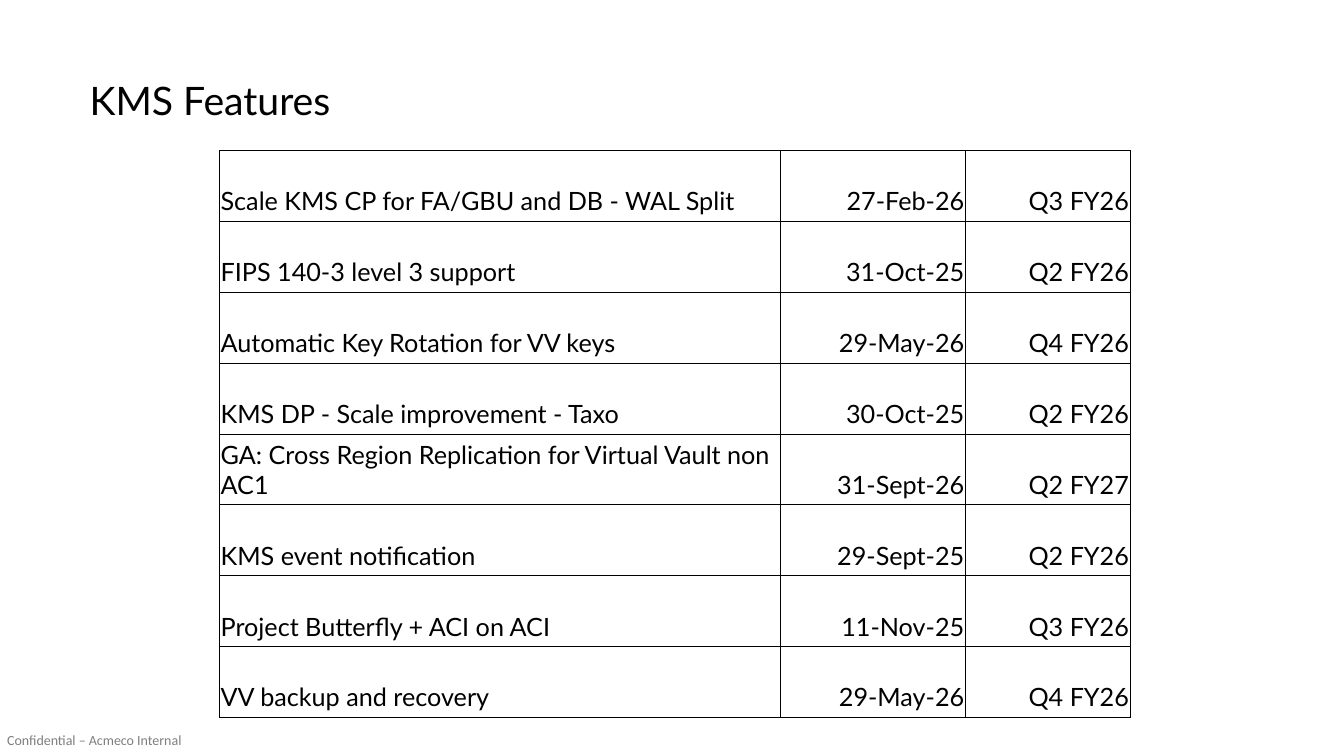
from lxml import etree
from pptx import Presentation
from pptx.dml.color import RGBColor
from pptx.enum import text
from pptx.oxml import ns
from pptx.util import Cm, Pt

# Content
TITLE = "KMS Features"
FOOTER = "Confidential – Acmeco Internal"
FEATURES = [
    ("Scale KMS CP for FA/GBU and DB - WAL Split", "27-Feb-26", "Q3 FY26"),
    ("FIPS 140-3 level 3 support", "31-Oct-25", "Q2 FY26"),
    ("Automatic Key Rotation for VV keys", "29-May-26", "Q4 FY26"),
    ("KMS DP - Scale improvement - Taxo", "30-Oct-25", "Q2 FY26"),
    ("GA: Cross Region Replication for Virtual Vault non AC1", "31-Sept-26", "Q2 FY27"),
    ("KMS event notification", "29-Sept-25", "Q2 FY26"),
    ("Project Butterfly + ACI on ACI", "11-Nov-25", "Q3 FY26"),
    ("VV backup and recovery", "29-May-26", "Q4 FY26"),
]

# Style and layout
BLACK = RGBColor(0x00, 0x00, 0x00)
GREY = RGBColor(0x7F, 0x7F, 0x7F)
COLUMN_WIDTHS = [Cm(14.14), Cm(4.66), Cm(4.15)]
TABLE_HEIGHT = Cm(14.29)
ROW_HEIGHT = TABLE_HEIGHT // len(FEATURES)
LEFT, RIGHT = text.PP_ALIGN.LEFT, text.PP_ALIGN.RIGHT


def write(frame, words, size, font="Lato", color=BLACK, align=LEFT, wrap=True):
    frame.word_wrap = wrap
    paragraph = frame.paragraphs[0]
    paragraph.alignment = align
    run = paragraph.add_run()
    run.text = words
    run.font.name = font
    run.font.size = Pt(size)
    run.font.color.rgb = color


def add_borders(cell):
    properties = cell._tc.get_or_add_tcPr()
    for side in ("a:lnL", "a:lnR", "a:lnT", "a:lnB"):
        line = etree.SubElement(properties, ns.qn(side), w=str(Pt(0.5)))
        fill = etree.SubElement(line, ns.qn("a:solidFill"))
        etree.SubElement(fill, ns.qn("a:srgbClr"), val=str(BLACK))


presentation = Presentation()
presentation.slide_width, presentation.slide_height = Cm(33.87), Cm(19.05)
slide = presentation.slides.add_slide(presentation.slide_layouts[6])

# Footer, on one line
footer = slide.shapes.add_textbox(Cm(0.18), Cm(18.44), Cm(4.8), Cm(0.43)).text_frame
footer.margin_left = footer.margin_right = footer.margin_top = footer.margin_bottom = 0
write(footer, FOOTER, 10, font="Calibri", color=GREY, wrap=False)

# Feature table
table = slide.shapes.add_table(
    len(FEATURES), len(COLUMN_WIDTHS), Cm(5.53), Cm(3.79),
    sum(COLUMN_WIDTHS), TABLE_HEIGHT).table
table.first_row = table.horz_banding = False
for column, width in zip(table.columns, COLUMN_WIDTHS):
    column.width = width
for row, feature in zip(table.rows, FEATURES):
    row.height = ROW_HEIGHT
    for index, (cell, words) in enumerate(zip(row.cells, feature)):
        cell.margin_left = cell.margin_right = cell.margin_top = Cm(0.03)
        cell.margin_bottom = Cm(0.13)
        cell.vertical_anchor = text.MSO_ANCHOR.BOTTOM
        add_borders(cell)
        cell.fill.background()
        write(cell.text_frame, words, 18, align=RIGHT if index else LEFT)

# Title
title = slide.shapes.add_textbox(Cm(2.01), Cm(1.8), Cm(24.64), Cm(1.45))
write(title.text_frame, TITLE, 28)

presentation.save("out.pptx")
